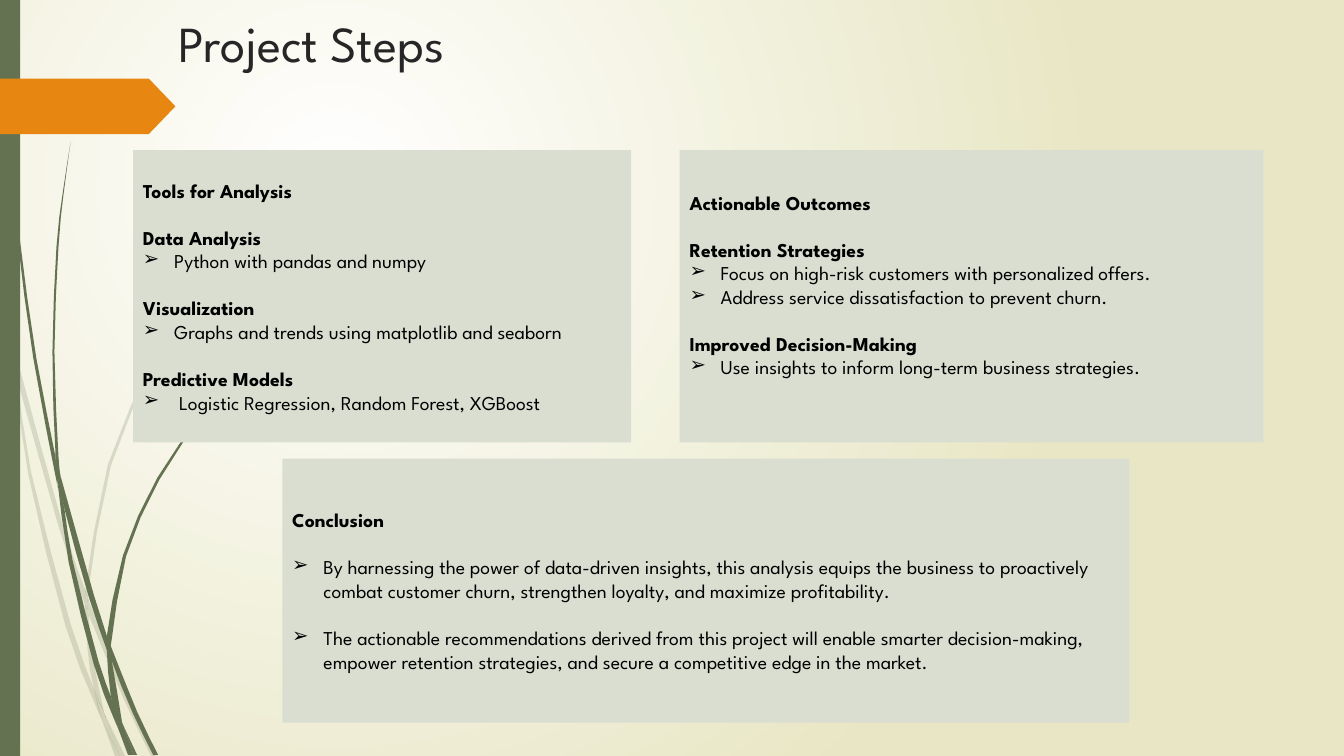
from dataclasses import dataclass
from lxml.etree import SubElement
from pptx import Presentation
from pptx.dml.color import RGBColor as Rgb
from pptx.enum.shapes import MSO_SHAPE as Kind
from pptx.enum.text import MSO_ANCHOR as Anchor, PP_ALIGN as Align
from pptx.oxml.ns import qn
from pptx.util import Inches, Pt

COLS, ROWS = 1333, 750  # fine grid over the slide
UNIT = Inches(7.5) / ROWS


@dataclass(frozen=True)
class Theme:
    font: str = "League Spartan"
    head: int = 36
    body: int = 14
    gap: float = 16.8
    ink: str = "000000"
    title: str = "262626"
    green: str = "647252"
    panel: str = "D9DED1"
    orange: str = "E78712"
    glow: tuple = ("FFFFFF", "E8E6C4")


THEME = Theme()

# Each blade has two edges, running from top to root.
PALE = [
    ([(0, 282), (9, 322), (11, 350)], [(0, 299), (10, 344), (11, 350)]),
    ([(14, 345), (62, 520), (85, 586)], [(17, 376), (58, 522), (84, 599)]),
    ([(88, 596), (127, 692), (155, 750)], [(88, 610), (123, 694), (150, 750)]),
    ([(105, 711), (124, 750)], [(105, 711), (119, 750)]),
    ([(11, 350), (17, 376), (31, 469), (70, 619), (93, 683), (101, 714)],
     [(11, 350), (28, 470), (65, 621), (92, 693), (101, 714)]),
    ([(84, 599), (88, 610), (91, 646), (103, 706), (105, 711)],
     [(84, 599), (87, 646), (93, 683), (105, 711)]),
    ([(312, 153), (268, 198), (229, 245), (160, 349), (110, 462), (88, 584), (88, 596)],
     [(312, 153), (268, 197), (228, 244), (158, 348), (107, 461), (85, 584), (85, 586)]),
    ([(101, 714), (119, 750)], [(101, 714), (114, 750)]),
    ([(88, 596), (88, 610)], [(85, 586), (84, 599), (88, 608)]),
    ([(93, 683), (105, 711), (119, 750)], [(93, 683), (101, 714), (119, 750)]),
]
DARK = [
    ([(4, 0), (8, 109), (19, 232), (36, 355), (55, 453), (57, 481)],
     [(3, 0), (7, 110), (17, 233), (33, 355), (56, 477), (57, 481)]),
    ([(60, 472), (93, 590), (106, 631), (106, 645)],
     [(60, 472), (64, 505), (88, 592), (106, 645)]),
    ([(110, 641), (136, 706), (157, 749)],
     [(110, 641), (111, 656), (132, 708), (152, 749)]),
    ([(57, 477), (64, 505), (72, 556), (98, 657), (110, 691), (117, 722)],
     [(57, 477), (68, 557), (93, 659), (111, 708), (117, 722)]),
    ([(70, 141), (63, 193), (58, 245), (54, 349), (58, 453), (60, 472)],
     [(70, 141), (62, 193), (56, 245), (52, 349), (55, 449), (60, 472)]),
    ([(122, 719), (136, 749)], [(122, 719), (133, 749)]),
    ([(55, 449), (60, 472), (64, 505)], [(55, 453), (57, 477), (64, 505)]),
    ([(261, 344), (231, 374), (205, 406), (158, 476), (125, 552), (111, 633), (110, 641)],
     [(260, 344), (231, 373), (204, 405), (156, 474), (122, 551), (106, 631), (110, 641)]),
    ([(117, 722), (131, 749)], [(117, 722), (127, 749)]),
    ([(106, 645), (111, 656), (121, 716), (122, 719)],
     [(106, 645), (110, 691), (122, 719)]),
    ([(106, 631), (110, 641), (111, 656)], [(106, 631), (106, 645), (111, 656)]),
    ([(110, 691), (122, 719), (133, 749)], [(110, 691), (117, 722), (130, 749)]),
]

# Kinds of line: "head" (bold), "item" (bullet), "next" (bullet after a gap)
PANELS = [
    ((132, 149, 494, 290), 0, [
        ("head", "Tools for Analysis"),
        ("head", "Data Analysis"),
        ("item", "Python with pandas and numpy"),
        ("head", "Visualization"),
        ("item", "Graphs and trends using matplotlib and seaborn"),
        ("head", "Predictive Models"),
        ("item", " Logistic Regression, Random Forest, XGBoost"),
    ]),
    ((674, 149, 579, 290), THEME.gap, [
        ("head", "Actionable Outcomes"),
        ("head", "Retention Strategies"),
        ("item", "Focus on high-risk customers with personalized offers."),
        ("item", "Address service dissatisfaction to prevent churn."),
        ("head", "Improved Decision-Making"),
        ("item", "Use insights to inform long-term business strategies."),
    ]),
    ((280, 455, 840, 262), 0, [
        ("head", "Conclusion"),
        ("next", "By harnessing the power of data-driven insights, this analysis "
                 "equips the business to proactively combat customer churn, "
                 "strengthen loyalty, and maximize profitability."),
        ("next", "The actionable recommendations derived from this project will "
                 "enable smarter decision-making, empower retention strategies, "
                 "and secure a competitive edge in the market."),
    ]),
]


def emu(box):
    return tuple(round(n * UNIT) for n in box)


def paint(shape, color, alpha=100):
    shape.shadow.inherit = False
    shape.fill.solid()
    shape.fill.fore_color.rgb = Rgb.from_string(color)
    shape.line.fill.background()
    if alpha < 100:
        tone = shape.fill._xPr.find(".//" + qn("a:srgbClr"))
        SubElement(tone, qn("a:alpha")).set("val", str(alpha * 1000))


def block(slide, kind, box, color):
    shape = slide.shapes.add_shape(kind, *emu(box))
    paint(shape, color)
    return shape


def write(para, text, size, color, bold=False):
    run = para.add_run()
    run.text = text
    font = run.font
    font.name, font.size, font.bold = THEME.font, Pt(size), bold
    font.color.rgb = Rgb.from_string(color)


def smooth(edge):
    """Add a Catmull-Rom midpoint to each span of an edge."""
    pts = [edge[0], *edge, edge[-1]]
    out = []
    for a, b, c, d in zip(pts, pts[1:], pts[2:], pts[3:]):
        mid = tuple((9 * (q + r) - p - s) / 16 for p, q, r, s in zip(a, b, c, d))
        out += [b, mid]
    return out + [edge[-1]]


def blade(slide, right, left, alpha):
    ring = list(dict.fromkeys(emu(pt) for pt in smooth(right) + smooth(left)[::-1]))
    pen = slide.shapes.build_freeform(*ring[0], scale=1.0)
    pen.add_line_segments(ring[1:], close=True)
    paint(pen.convert_to_shape(), THEME.green, alpha)


def glow(slide):
    """Round gradient behind the slide."""
    fill = slide.background.fill
    fill.gradient()
    for stop, color in zip(fill.gradient_stops, THEME.glow):
        stop.color.rgb = Rgb.from_string(color)
    grad = slide._element.find(".//" + qn("a:gradFill"))
    grad.remove(grad.find(qn("a:lin")))
    ring = SubElement(grad, qn("a:path"))
    ring.set("path", "circle")
    rect = SubElement(ring, qn("a:fillToRect"))
    for side, share in zip("ltrb", (50, 50, 100, 100)):
        rect.set(side, str(share * 1000))


def decor(slide):
    for blades, alpha in ((PALE, 20), (DARK, 100)):
        for right, left in blades:
            blade(slide, right, left, alpha)
    block(slide, Kind.RECTANGLE, (0, 0, 20, ROWS), THEME.green)
    tag = block(slide, Kind.PENTAGON, (0, 78, 174, 55), THEME.orange)
    tag.adjustments[0] = 0.48


def title(slide, box, text):
    frame = slide.shapes.add_textbox(*emu(box)).text_frame
    frame.word_wrap = True
    write(frame.paragraphs[0], text, THEME.head, THEME.title)


def bullet(para):
    props = para._p.get_or_add_pPr()
    props.set("marL", str(Inches(0.31)))
    props.set("indent", str(-Inches(0.31)))
    SubElement(props, qn("a:buFont")).set("typeface", THEME.font)
    SubElement(props, qn("a:buChar")).set("char", "➢")


def panel(slide, box, foot, lines):
    frame = block(slide, Kind.RECTANGLE, box, THEME.panel).text_frame
    frame.word_wrap = True
    frame.vertical_anchor = Anchor.MIDDLE
    frame.margin_bottom = Inches(0.05) + Pt(foot)
    for i, (kind, text) in enumerate(lines):
        para = frame.add_paragraph() if i else frame.paragraphs[0]
        para.alignment = Align.LEFT
        if kind != "head":
            bullet(para)
        para.space_before = Pt(THEME.gap if i and kind != "item" else 0)
        write(para, text, THEME.body, THEME.ink, kind == "head")


def main():
    deck = Presentation()
    deck.slide_width, deck.slide_height = emu((COLS, ROWS))
    slide = deck.slides.add_slide(deck.slide_layouts[6])
    glow(slide)
    decor(slide)
    title(slide, (167, 7, 1096, 109), "Project Steps")
    for box, foot, lines in PANELS:
        panel(slide, box, foot, lines)
    deck.save("out.pptx")


if __name__ == "__main__":
    main()
